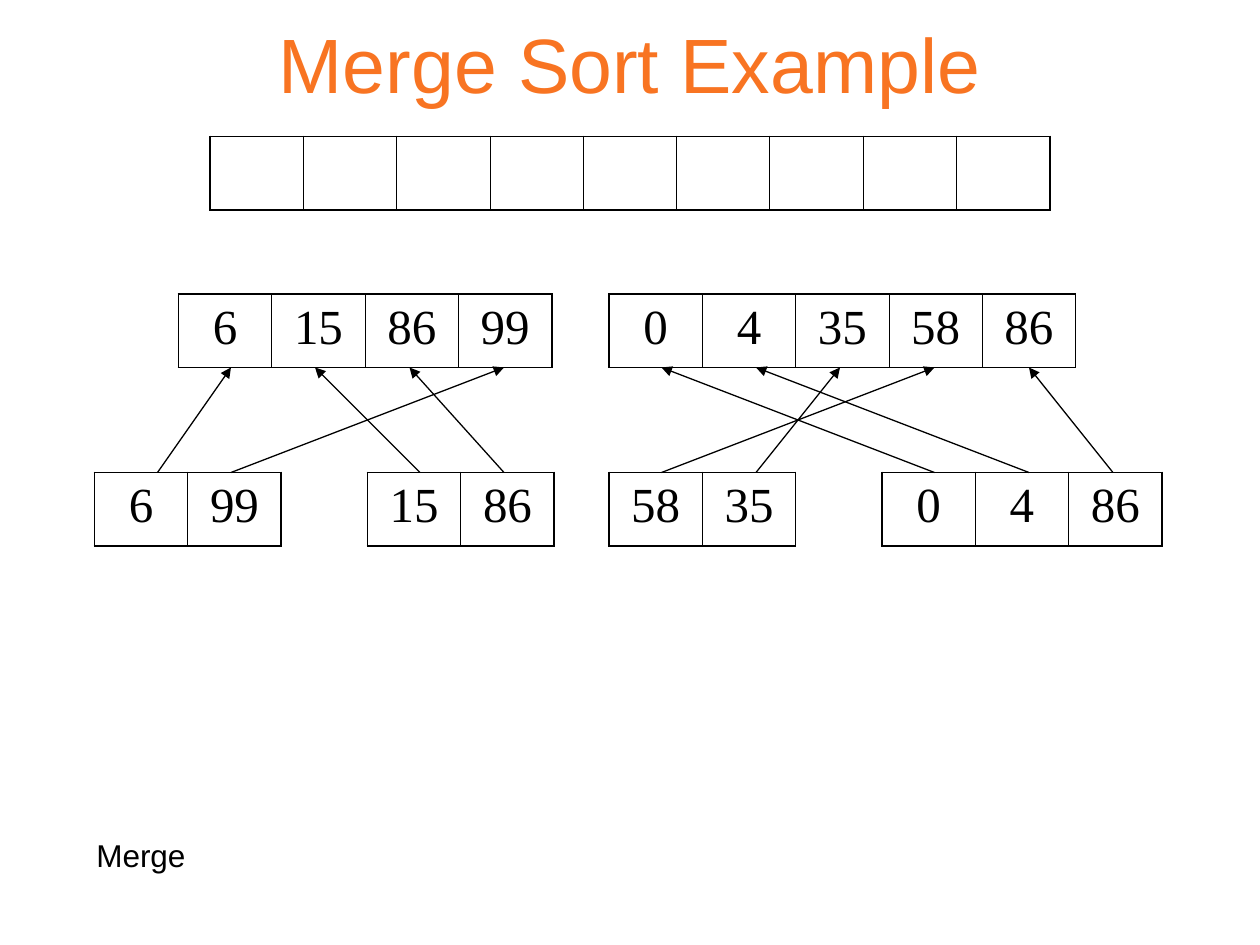
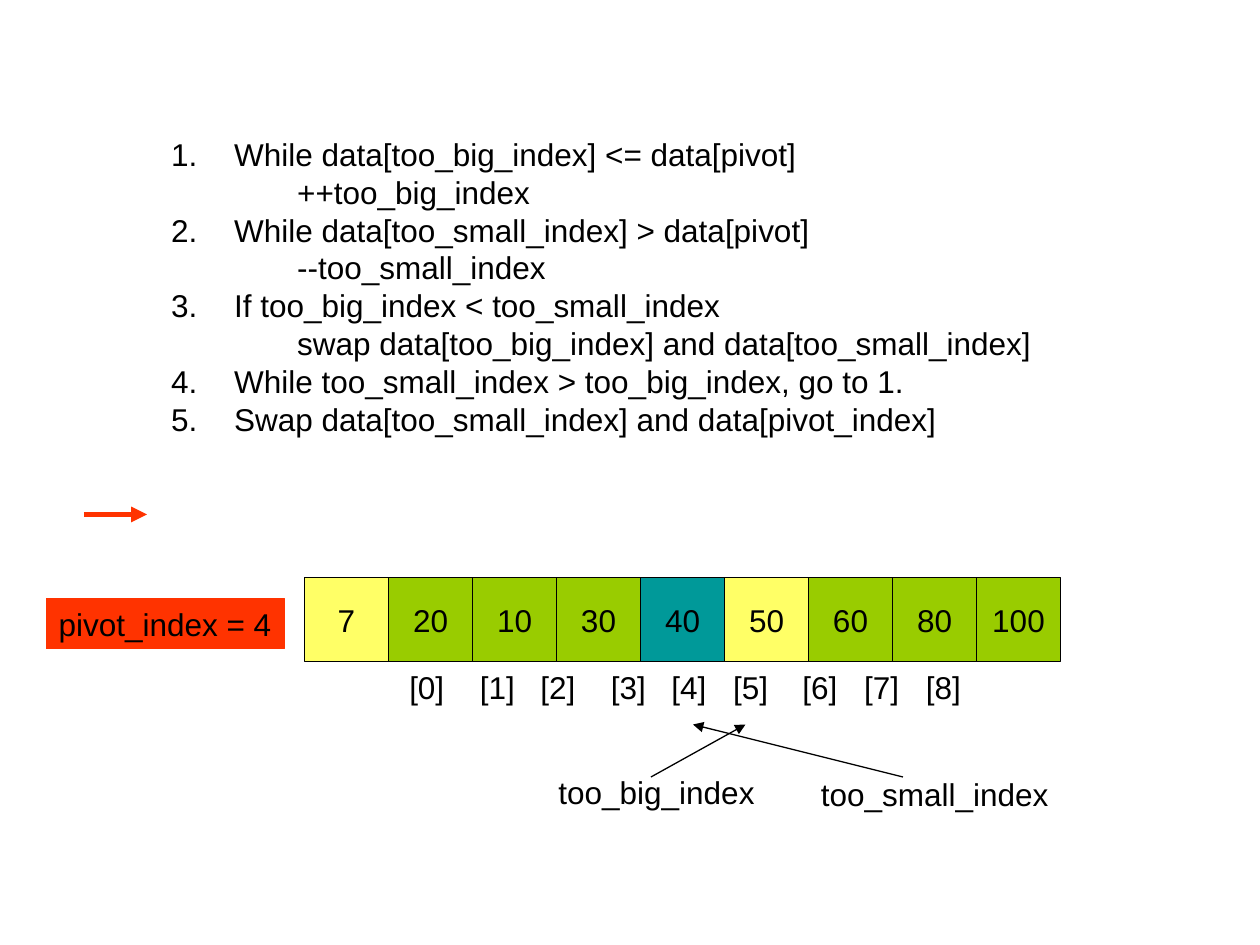
from pptx import Presentation
from pptx.dml.color import RGBColor
from pptx.enum.shapes import MSO_CONNECTOR, MSO_SHAPE
from pptx.enum.text import MSO_ANCHOR, MSO_AUTO_SIZE, PP_ALIGN
from pptx.oxml.ns import qn
from pptx.util import Inches, Pt
from lxml.etree import SubElement, Element

# Shared grid: twelve units to the inch, 120 columns by 90 rows
UNIT = Inches(1) / 12
COLS, ROWS = 120, 90
ARRAY_H = 7
ARRAY_CELL = 80 / 9
BOX = 8

BLACK, ORANGE, RED = "000000", "F87422", "FF3300"
YELLOW, GREEN, TEAL = "FFFF66", "99CC00", "009999"
SANS, SERIF = "Arial", "Times New Roman"


def grid(*values):
    return [round(v * UNIT) for v in values]


def rgb(color):
    return RGBColor.from_string(color)


def write(p, text, size=18, font=SANS, color=BLACK, align=None):
    r = p.add_run()
    r.text = text
    r.font.size, r.font.name = Pt(size), font
    r.font.color.rgb = rgb(color)
    if align is not None:
        p.alignment = align


def place(sp, left, top, width, height):
    sp.left, sp.top, sp.width, sp.height = grid(left, top, width, height)


def add_title(s, text):
    place(s.shapes.title, 9, 0, 102, 12)
    write(s.shapes.title.text_frame.paragraphs[0], text, size=44,
          color=ORANGE, align=PP_ALIGN.CENTER)


def add_label(s, text, left, top, width, tabs=()):
    tb = s.shapes.add_textbox(*grid(left, top, width, 4.8))
    tb.text_frame.word_wrap = True
    p = tb.text_frame.paragraphs[0]
    write(p, text)
    if tabs:
        tab_list = SubElement(p._p.get_or_add_pPr(), qn("a:tabLst"))
        for pos in tabs:
            SubElement(tab_list, qn("a:tab"), pos=str(Inches(pos)), algn="l")


def add_box(s, text, left, top, width, height, fill, line=BLACK,
            align=PP_ALIGN.CENTER):
    sp = s.shapes.add_shape(MSO_SHAPE.RECTANGLE,
                            *grid(left, top, width, height))
    sp.shadow.inherit = False
    sp.fill.solid()
    sp.fill.fore_color.rgb = rgb(fill)
    sp.line.color.rgb = rgb(line)
    sp.line.width = Pt(0.75)
    tf = sp.text_frame
    tf.word_wrap = False
    tf.vertical_anchor = MSO_ANCHOR.MIDDLE
    write(tf.paragraphs[0], text, align=align)


def add_arrow(s, x1, y1, x2, y2, color=BLACK, width=0.75):
    cn = s.shapes.add_connector(MSO_CONNECTOR.STRAIGHT,
                                *grid(x1, y1, x2, y2))
    cn.line.color.rgb = rgb(color)
    cn.line.width = Pt(width)
    SubElement(cn.line._get_or_add_ln(), qn("a:tailEnd"), type="triangle")
    SubElement(cn._element.spPr, qn("a:effectLst"))


def set_borders(cell, **widths):
    """Draw the sides L, R, T and B with the given widths in points."""
    tcPr = cell._tc.get_or_add_tcPr()
    for i, side in enumerate("LRTB"):
        ln = Element(qn(f"a:ln{side}"), w=str(Pt(widths[side])))
        fill = SubElement(ln, qn("a:solidFill"))
        SubElement(fill, qn("a:srgbClr"), val=BLACK)
        tcPr.insert(i, ln)


def add_array(s, values, left, top, outer=1.08, inner=0.45):
    n = len(values)
    frame = s.shapes.add_table(
        1, n, *grid(left, top, n * ARRAY_CELL, ARRAY_H))
    table = frame.table
    table.first_row = table.horz_banding = False
    for i, value in enumerate(values):
        cell = table.cell(0, i)
        cell.fill.background()
        set_borders(cell, L=inner if i else outer,
                    R=inner if i < n - 1 else outer, T=outer, B=outer)
        if value:
            write(cell.text_frame.paragraphs[0], value, size=28, font=SERIF,
                  align=PP_ALIGN.CENTER)


def add_steps(s, sp, steps):
    """Fill the body with numbered steps, each with an optional action."""
    tf = sp.text_frame
    tf.auto_size = MSO_AUTO_SIZE.NONE
    lines = [(level, text) for step in steps
             for level, text in enumerate(step)]
    for i, (level, text) in enumerate(lines):
        p = tf.add_paragraph() if i else tf.paragraphs[0]
        p.level, p.space_before = level, Pt(0)
        pPr = p._p.get_or_add_pPr()
        pPr.set("marL", str(Inches(0.5 + 0.5 * level)))
        pPr.set("indent", str(Inches(0 if level else -0.5)))
        if level:
            SubElement(pPr, qn("a:buNone"))
        else:
            SubElement(pPr, qn("a:buFont"), typeface=SANS)
            SubElement(pPr, qn("a:buAutoNum"), type="arabicPeriod")
        write(p, text, align=PP_ALIGN.LEFT)


def merge_slide(prs):
    s = prs.slides.add_slide(prs.slide_layouts[5])
    add_title(s, "Merge Sort Example")

    # Empty result, merged halves, then the sorted parts below them
    merged_top, parts_top = 28, 45
    add_array(s, [""] * 9, 20, 13)
    for left, values in ((17, "6 15 86 99"), (58, "0 4 35 58 86")):
        add_array(s, values.split(), left, merged_top)
    for left, values in ((35, "15 86"), (9, "6 99"),
                         (58, "58 35"), (84, "0 4 86")):
        add_array(s, values.split(), left, parts_top)
    add_label(s, "Merge", 8, 79, 61)

    # Where each number moves, as columns of the grid
    moves = ((15, 22), (40, 30), (22, 48), (48, 39), (63, 89),
             (89, 63), (98, 72), (72, 80), (106, 98))
    for start, end in moves:
        add_arrow(s, start, parts_top, end, merged_top + ARRAY_H)


def partition_slide(prs):
    s = prs.slides.add_slide(prs.slide_layouts[1])
    title, body = s.placeholders
    title._element.getparent().remove(title._element)

    # Algorithm
    place(body, 15.1, 12.25, 96.25, 40.8)
    add_steps(s, body, (
        ("While data[too_big_index] <= data[pivot]", "++too_big_index"),
        ("While data[too_small_index] > data[pivot]", "--too_small_index"),
        ("If too_big_index < too_small_index",
         "swap data[too_big_index] and data[too_small_index]"),
        ("While too_small_index > too_big_index, go to 1.",),
        ("Swap data[too_small_index] and data[pivot_index]",),
    ))

    # Data with the swapped values and the pivot highlighted
    data = (7, 20, 10, 30, 40, 50, 60, 80, 100)
    highlights = {7: YELLOW, 40: TEAL, 50: YELLOW}
    for i, value in enumerate(data):
        add_box(s, str(value), 29 + i * BOX, 55, BOX, BOX,
                highlights.get(value, GREEN))
    add_box(s, "pivot_index = 4", 4.4, 57, 22.7, 4.8, RED, line=RED,
            align=PP_ALIGN.LEFT)

    # Index labels and pointers
    add_label(s, "\t".join(f"[{i}]" for i in range(len(data))), 37.8, 63, 55,
              tabs=(0.56, 1.04, 1.6, 2.08, 2.57, 3.12, 3.61, 4.1))
    add_label(s, "too_big_index", 52, 73, 38)
    add_label(s, "too_small_index", 77, 73.2, 28)
    add_arrow(s, 86, 74, 66, 69)
    add_arrow(s, 62, 74, 71, 69)
    add_arrow(s, 8, 49, 14, 49, color=RED, width=3)


def main():
    prs = Presentation()
    prs.slide_width, prs.slide_height = grid(COLS, ROWS)
    merge_slide(prs)
    partition_slide(prs)
    prs.save("out.pptx")


if __name__ == "__main__":
    main()
